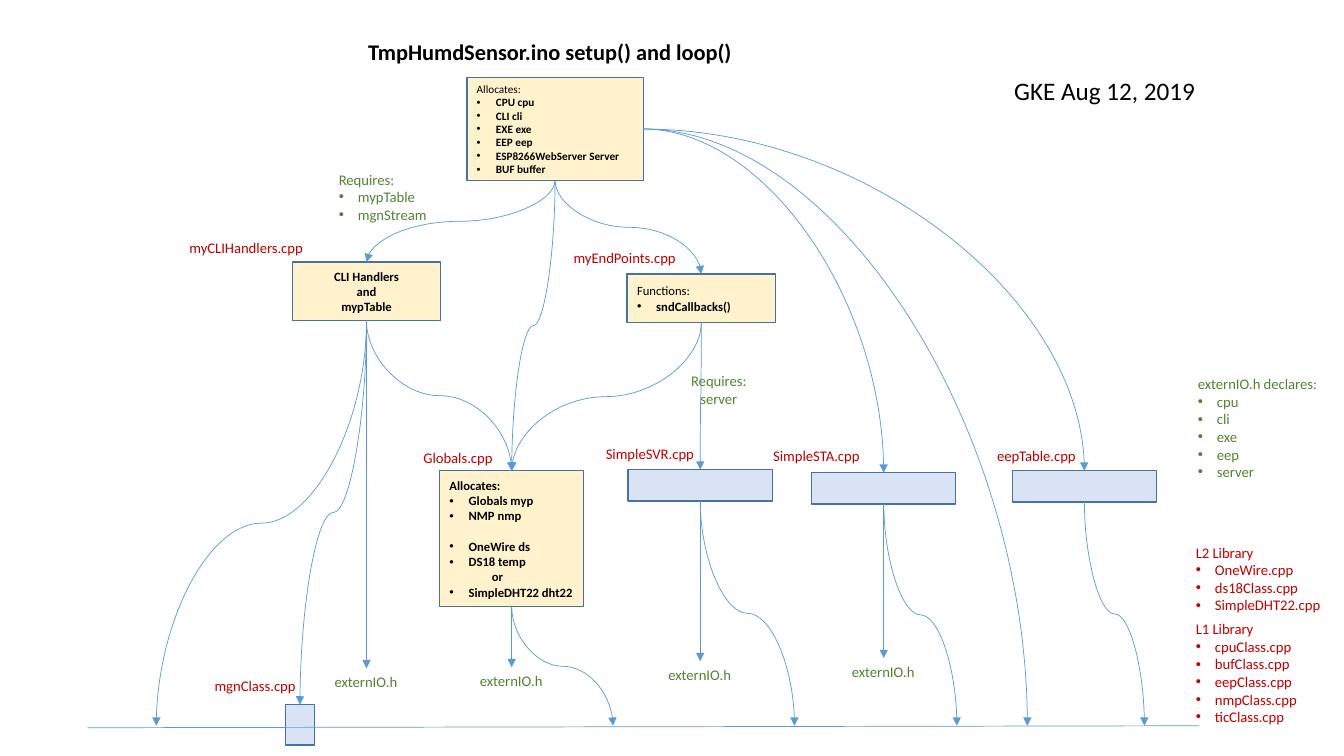
from dataclasses import dataclass

from lxml import etree
from pptx import Presentation
from pptx import util as u
from pptx.dml.color import RGBColor
from pptx.enum import shapes, text
from pptx.oxml import ns


@dataclass(frozen=True)
class Theme:
    font: str = "Calibri"
    black: str = "000000"
    red: str = "C00000"
    green: str = "548235"
    cream: str = "FFF2CC"
    pale_blue: str = "DAE3F3"
    border: str = "43739E"
    arrow: str = "5B9BD5"
    title: float = 16
    date: float = 18
    label: float = 10.5
    node: float = 9
    small: float = 8
    border_width: float = 1
    arrow_width: float = 0.5
    indent: float = 0.19


def add_xml(parent, tag, **attributes):
    return etree.SubElement(parent, ns.qn(tag), attributes)


def set_all(target, values):
    for name, value in values.items():
        setattr(target, name, value)


class Diagram:
    """Holds the theme and the slide, and draws each kind of element."""

    def __init__(self, slide, theme):
        self.slide, self.theme = slide, theme

    def fill_text(self, frame, lines, size, color, bold=False, head_bold=None,
                  centered=False, wrap=True, anchor=text.MSO_ANCHOR.TOP):
        """Fill a frame; lines that start with a bullet become list items."""
        set_all(frame, {"word_wrap": wrap, "auto_size": text.MSO_AUTO_SIZE.NONE,
                        "vertical_anchor": anchor,
                        "margin_left": u.Inches(0.1), "margin_right": u.Inches(0.1),
                        "margin_top": u.Inches(0.05), "margin_bottom": u.Inches(0.05)})
        for number, line in enumerate(lines):
            paragraph = frame.add_paragraph() if number else frame.paragraphs[0]
            align = text.PP_ALIGN.CENTER if centered else text.PP_ALIGN.LEFT
            set_all(paragraph, {"alignment": align, "line_spacing": 1.0,
                                "space_before": u.Pt(0), "space_after": u.Pt(0)})
            listed = line.startswith("• ")
            indent = u.Inches(self.theme.indent) if listed else 0
            properties = paragraph._p.get_or_add_pPr()
            properties.set("marL", str(indent))
            properties.set("indent", str(-indent))
            if listed:
                add_xml(properties, "a:buFont", typeface="Arial")
                add_xml(properties, "a:buChar", char="•")
            else:
                add_xml(properties, "a:buNone")
            run = paragraph.add_run()
            run.text = line.removeprefix("• ")
            heavy = head_bold if number == 0 and head_bold is not None else bold
            set_all(run.font, {"name": self.theme.font, "size": u.Pt(size), "bold": heavy})
            run.font.color.rgb = RGBColor.from_string(color)
        return frame.paragraphs

    def placeholder(self, holder, place, lines, size, color, **style):
        names = ("left", "top", "width", "height")
        set_all(holder, dict(zip(names, map(u.Inches, place))))
        self.fill_text(holder.text_frame, lines, size, color, **style)

    def label(self, place, lines, color, size=None, **style):
        box = self.slide.shapes.add_textbox(*map(u.Inches, place))
        self.fill_text(box.text_frame, lines, size or self.theme.label, color, **style)

    def box(self, place, fill, lines=(), size=None, **style):
        rect = self.slide.shapes.add_shape(
            shapes.MSO_SHAPE.RECTANGLE, *map(u.Inches, place))
        rect.shadow.inherit = False
        rect.fill.solid()
        rect.fill.fore_color.rgb = RGBColor.from_string(fill)
        rect.line.color.rgb = RGBColor.from_string(self.theme.border)
        rect.line.width = u.Pt(self.theme.border_width)
        return self.fill_text(rect.text_frame, lines, size or self.theme.node,
                              self.theme.black, anchor=text.MSO_ANCHOR.MIDDLE, **style)

    def line(self, start, end, kind=shapes.MSO_CONNECTOR.STRAIGHT, arrow=False):
        link = self.slide.shapes.add_connector(kind, *map(u.Inches, start + end))
        link.line.color.rgb = RGBColor.from_string(self.theme.arrow)
        link.line.width = u.Pt(self.theme.arrow_width)
        properties = link._element.spPr
        if arrow:
            add_xml(properties.find(ns.qn("a:ln")), "a:tailEnd", type="triangle")
        add_xml(properties, "a:effectLst")
        return properties

    def drop(self, start, end):
        """S-curve leaving downwards: a sideways curve turned a quarter."""
        (x1, y1), (x2, y2) = start, end
        mid_x, mid_y = (x1 + x2) / 2, (y1 + y2) / 2
        half_w, half_h = abs(y2 - y1) / 2, abs(x2 - x1) / 2
        properties = self.line((mid_x - half_w, mid_y - half_h),
                               (mid_x + half_w, mid_y + half_h),
                               shapes.MSO_CONNECTOR.CURVE, arrow=True)
        frame = properties.find(ns.qn("a:xfrm"))
        frame.set("rot", str((270 if x2 > x1 else 90) * 60000))
        if x2 > x1:
            frame.set("flipH", "1")

    def sweep(self, start, end):
        """Single bend leaving sideways and arriving from above."""
        properties = self.line(start, end, shapes.MSO_CONNECTOR.CURVE, arrow=True)
        properties.find(ns.qn("a:prstGeom")).set("prst", "curvedConnector2")


PLACES = {
    "main": (4.63, 0.77, 1.75, 1.02),
    "cli": (2.9, 2.6, 1.47, 0.58),
    "endpoints": (6.22, 2.72, 1.47, 0.48),
    "globals": (4.36, 4.67, 1.43, 1.35),
    "svr": (6.23, 4.66, 1.43, 0.31),
    "sta": (8.05, 4.69, 1.43, 0.31),
    "eep": (10.04, 4.67, 1.43, 0.31),
    "mgn": (2.83, 6.99, 0.29, 0.4),
}


def top(name):
    left, upper, width, _ = PLACES[name]
    return left + width / 2, upper


def bottom(name):
    x, upper = top(name)
    return x, upper + PLACES[name][3]


def main():
    deck = Presentation()
    deck.slide_width, deck.slide_height = u.Inches(13.33), u.Inches(7.5)
    theme = Theme()
    slide = deck.slides.add_slide(deck.slide_layouts.get_by_name("Comparison"))
    diagram = Diagram(slide, theme)

    # Title and lists
    diagram.placeholder(slide.shapes.title, (3.55, 0.33, 3.86, 0.37),
                        ["TmpHumdSensor.ino setup() and loop()"],
                        theme.title, theme.black, bold=True, wrap=False)
    lists = [
        ((3.26, 1.64, 1.13, 0.63), theme.green, ["Requires:", "• mypTable", "• mgnStream"]),
        ((11.78, 3.67, 1.57, 1.16), theme.green,
         ["externIO.h declares:", "• cpu", "• cli", "• exe", "• eep", "• server"]),
        ((11.76, 5.34, 1.57, 0.98), theme.red,
         ["L2 Library", "• OneWire.cpp", "• ds18Class.cpp", "• SimpleDHT22.cpp"]),
        ((11.76, 6.1, 1.4, 1.34), theme.red,
         ["L1 Library", "• cpuClass.cpp", "• bufClass.cpp", "• eepClass.cpp",
          "• nmpClass.cpp", "• ticClass.cpp"]),
    ]
    bodies = [slide.placeholders[index] for index in (1, 2, 3, 4)]
    for body, (place, color, lines) in zip(bodies, lists):
        diagram.placeholder(body, place, lines, theme.label, color)

    # Boxes
    diagram.box(PLACES["main"], theme.cream,
                ["Allocates:", "• CPU cpu", "• CLI cli", "• EXE exe", "• EEP eep",
                 "• ESP8266WebServer Server", "• BUF buffer"],
                theme.small, bold=True, head_bold=False)
    diagram.box(PLACES["cli"], theme.cream, ["CLI Handlers", "and", "mypTable"],
                bold=True, centered=True)
    diagram.box(PLACES["endpoints"], theme.cream, ["Functions:", "• sndCallbacks()"],
                bold=True, head_bold=False)
    allocations = diagram.box(
        PLACES["globals"], theme.cream,
        ["Allocates:", "• Globals myp", "• NMP nmp", "• OneWire ds", "• DS18 temp",
         "or", "• SimpleDHT22 dht22"], bold=True)
    allocations[3].space_before = u.Pt(11)
    allocations[5]._p.pPr.set("marL", str(u.Inches(0.42)))
    for name in ("svr", "sta", "eep", "mgn"):
        diagram.box(PLACES[name], theme.pale_blue)

    # Arrows between boxes
    for source, target in [("main", "cli"), ("main", "globals"), ("main", "endpoints"),
                           ("endpoints", "globals"), ("endpoints", "svr"),
                           ("cli", "globals"), ("cli", "mgn")]:
        diagram.drop(bottom(source), top(target))
    for target in (top("sta"), top("eep"), (10.19, 7.2)):
        diagram.sweep((6.38, 1.28), target)

    # Library baseline and arrows down to it
    diagram.line((0.87, 7.22), (11.89, 7.2))
    for source, x in [("cli", 1.55), ("globals", 6.08), ("svr", 7.88),
                      ("sta", 9.49), ("eep", 11.35)]:
        diagram.drop(bottom(source), (x, 7.2))

    # Arrows to externIO.h
    for source, y in [("cli", 6.63), ("globals", 6.62), ("svr", 6.56), ("sta", 6.53)]:
        x = bottom(source)[0]
        diagram.drop(bottom(source), (x, y))
        diagram.label((x - 0.57, y, 1.13, 0.28), ["externIO.h"], theme.green, centered=True)

    # File names, note and date
    for name, left, upper, width in [
            ("myCLIHandlers.cpp", 1.78, 2.32, 1.62), ("myEndPoints.cpp", 5.59, 2.42, 1.47),
            ("Globals.cpp", 4.1, 4.4, 0.98), ("SimpleSVR.cpp", 5.91, 4.36, 1.09),
            ("SimpleSTA.cpp", 7.57, 4.38, 1.09), ("eepTable.cpp", 9.79, 4.38, 1.09),
            ("mgnClass.cpp", 2.03, 6.67, 1.17)]:
        diagram.label((left, upper, width, 0.28), [name], theme.red)
    diagram.label((6.73, 3.64, 0.8, 0.45), ["Requires:", "server"], theme.green, centered=True)
    diagram.label((9.96, 0.7, 2.08, 0.4), ["GKE Aug 12, 2019"], theme.black,
                  theme.date, wrap=False)

    deck.save("out.pptx")


if __name__ == "__main__":
    main()
